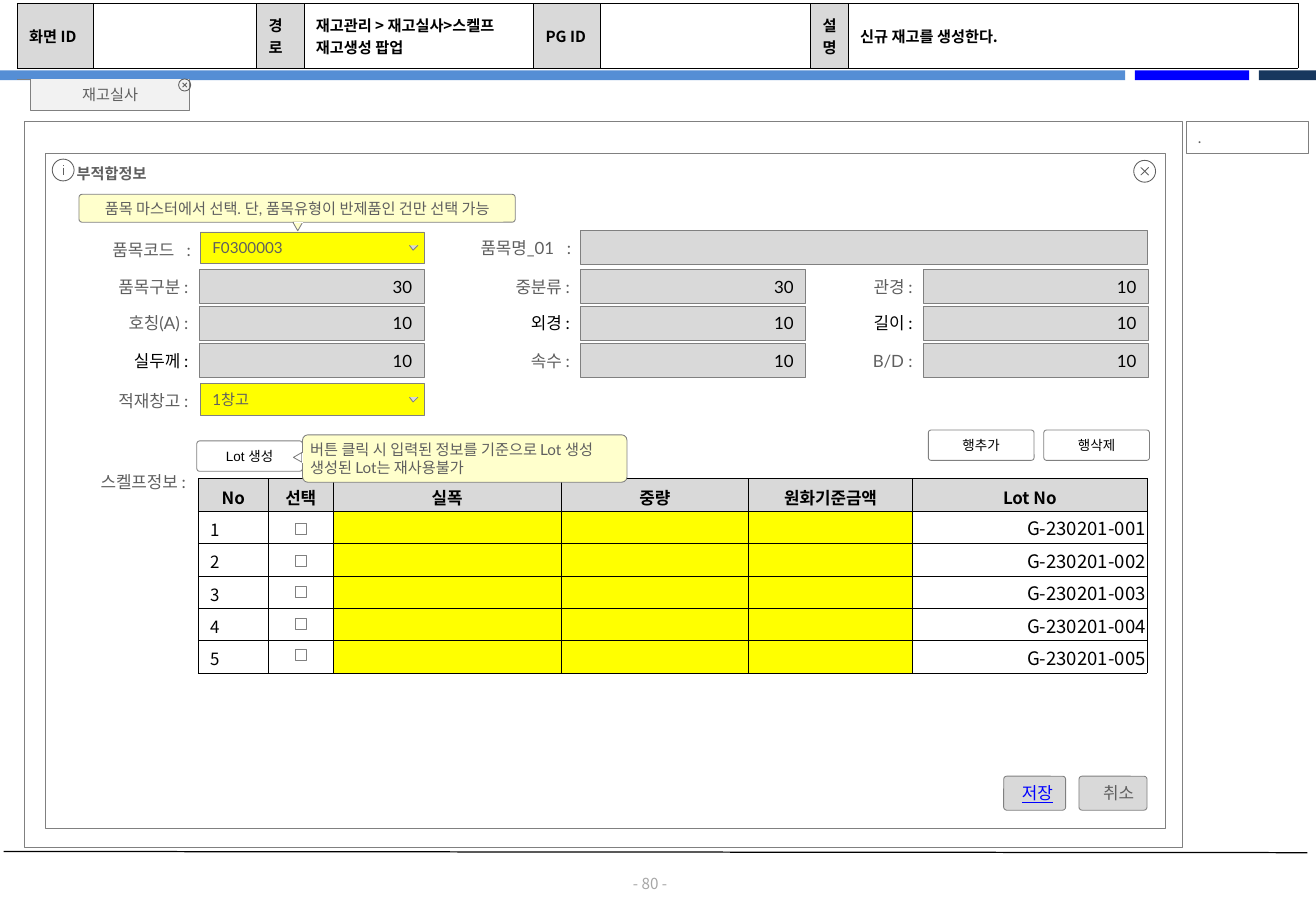
from dataclasses import dataclass
from lxml.etree import SubElement
from pptx import Presentation
from pptx.dml.color import RGBColor
from pptx.enum.shapes import MSO_CONNECTOR, MSO_SHAPE
from pptx.enum.text import MSO_ANCHOR, MSO_AUTO_SIZE, PP_ALIGN
from pptx.oxml.ns import qn
from pptx.util import Inches, Pt


@dataclass(frozen=True)
class Theme:
    """Colours, fonts and type sizes."""
    ink: str = "000000"
    gray: str = "5F5F5F"
    edge: str = "808080"
    fill: str = "D9D9D9"
    pale: str = "F2F2F2"
    white: str = "FFFFFF"
    need: str = "FFFF00"
    note: str = "FFFFCC"
    link: str = "0000FF"
    sky: str = "558ED5"
    navy: str = "17375E"
    faint: str = "A6A6A6"
    latin: str = "Lato"
    sans: str = "Arial"
    korean: str = "Noto Sans CJK KR"
    tiny: int = 8
    small: int = 9
    base: int = 10
    large: int = 11


T = Theme()
LEFT, MID, RIGHT = PP_ALIGN.LEFT, PP_ALIGN.CENTER, PP_ALIGN.RIGHT
TOP, CENTER = MSO_ANCHOR.TOP, MSO_ANCHOR.MIDDLE
RECT, ROUND = MSO_SHAPE.RECTANGLE, MSO_SHAPE.ROUNDED_RECTANGLE


def paint(shape, fill, edge):
    """Set the fill and outline of a shape, or clear them."""
    shape.shadow.inherit = False
    if fill:
        shape.fill.solid()
        shape.fill.fore_color.rgb = RGBColor.from_string(fill)
    else:
        shape.fill.background()
    if edge:
        shape.line.color.rgb = RGBColor.from_string(edge)
        shape.line.width = Pt(0.5)
    else:
        shape.line.fill.background()


def add_run(para, text, size, color, face=T.latin, bold=False, line=False):
    """Add one formatted run to a paragraph."""
    run = para.add_run()
    run.text = text
    font = run.font
    font.size, font.name, font.bold, font.underline = Pt(size), face, bold, line
    font.color.rgb = RGBColor.from_string(color)
    SubElement(run._r.get_or_add_rPr(), qn("a:ea"), typeface=T.korean)
    return run


def write(shape, text, size=T.base, color=T.gray, align=LEFT, anchor=CENTER,
          pad=(0.1, 0.05, 0.1, 0.05), **style):
    """Fill a shape with one paragraph per line of text."""
    frame = shape.text_frame
    frame.word_wrap, frame.auto_size = True, MSO_AUTO_SIZE.NONE
    frame.vertical_anchor = anchor
    (frame.margin_left, frame.margin_top,
     frame.margin_right, frame.margin_bottom) = map(Inches, pad)
    for i, row in enumerate(text.split("\n")):
        para = frame.add_paragraph() if i else frame.paragraphs[0]
        para.alignment = align
        add_run(para, row, size, color, **style)


def draw(slide, kind, box, fill=None, edge=T.edge, curve=None):
    """Add a preset shape."""
    shape = slide.shapes.add_shape(kind, *map(Inches, box))
    paint(shape, fill, edge)
    if curve is not None:
        shape.adjustments[0] = curve
    return shape


def stroke(slide, ends, color=T.edge, width=0.5):
    """Add a straight line."""
    line = slide.shapes.add_connector(MSO_CONNECTOR.STRAIGHT, *map(Inches, ends))
    line.line.color.rgb = RGBColor.from_string(color)
    line.line.width = Pt(width)
    SubElement(line._element.spPr, qn("a:effectLst"))


def trace(slide, points, fill):
    """Add an open outline through the points."""
    spots = [(Inches(x), Inches(y)) for x, y in points]
    form = slide.shapes.build_freeform(*spots[0], scale=1.0)
    form.add_line_segments(spots[1:], close=False)
    shape = form.convert_to_shape()
    paint(shape, fill, T.edge)
    return shape


def close_icon(slide, x, y, size):
    """Draw a circled cross."""
    draw(slide, MSO_SHAPE.OVAL, (x, y, size, size), edge=T.gray)
    a, b = size * 0.32, size * 0.68
    stroke(slide, (x + a, y + a, x + b, y + b), T.gray)
    stroke(slide, (x + a, y + b, x + b, y + a), T.gray)


def info_icon(slide, x, y):
    """Draw a circled letter mark from a dot and a stem."""
    draw(slide, MSO_SHAPE.OVAL, (x, y, 0.18, 0.18), edge=T.gray)
    for top, low in ((0.05, 0.06), (0.07, 0.13)):
        stroke(slide, (x + 0.09, y + top, x + 0.09, y + low), T.gray, 0.75)


def add_grid(slide, x, y, cols, count, height):
    """Add a plain table with the given columns and equal rows."""
    table = slide.shapes.add_table(count, len(cols), Inches(x), Inches(y),
                                   Inches(sum(cols)), Inches(height)).table
    table.first_row = table.horz_banding = False
    for col, width in zip(table.columns, cols):
        col.width = Inches(width)
    for row in table.rows:
        row.height = Inches(height / count)
    return table


def set_cell(cell, text, fill, size, align=LEFT, anchor=CENTER,
             pad=(0.1, 0.05, 0.1, 0.05), bold=False):
    """Set the borders, fill and text of a cell."""
    for side in ("L", "R", "T", "B"):
        line = SubElement(cell._tc.get_or_add_tcPr(), qn("a:ln" + side), w="3175")
        SubElement(SubElement(line, qn("a:solidFill")), qn("a:srgbClr"), val=T.ink)
    cell.fill.solid()
    cell.fill.fore_color.rgb = RGBColor.from_string(fill)
    cell.vertical_anchor = anchor
    (cell.margin_left, cell.margin_top,
     cell.margin_right, cell.margin_bottom) = map(Inches, pad)
    para = cell.text_frame.paragraphs[0]
    para.alignment = align
    if text:
        add_run(para, text, size, T.ink, T.korean, bold)
    else:
        SubElement(para._p, qn("a:endParaRPr"), sz=str(size * 100))


def header(slide, x, y):
    """Place the screen details table and the colour band below it."""
    cols = (0.63, 1.34, 0.39, 1.89, 0.55, 1.73, 0.31, 3.7)
    words = ("화면 ID", "", "경로", "재고관리 > 재고실사>스켈프 재고생성 팝업",
             "PG ID", "", "설명", "신규 재고를 생성한다.")
    table = add_grid(slide, x, y, cols, 1, 0.53)
    for i, text in enumerate(words):
        set_cell(table.cell(0, i), text, T.white if i % 2 else T.fill,
                 T.small, bold=True)
    for left, width, color in ((0, 9.26, T.sky), (9.34, 0.94, T.link),
                               (10.36, 0.47, T.navy)):
        draw(slide, RECT, (left, y + 0.55, width, 0.08), color, None)


def frame(slide, x, y):
    """Place the tab, work area, side note and footer."""
    stroke(slide, (x + 0.05, y - 0.35, x - 0.06, y - 0.35))
    tab = trace(slide, ((x + 1.36, y - 0.35), (x + 1.36, y - 0.09),
                        (x + 0.05, y - 0.09), (x + 0.05, y - 0.35)), T.pale)
    write(tab, "재고실사", T.small, align=MID, pad=(0.05,) * 4)
    close_icon(slide, x + 1.27, y - 0.35, 0.1)
    side = draw(slide, RECT, (x + 9.56, y, 1.01, 0.26), T.white)
    write(side, ".", T.small, anchor=TOP, pad=(0.1, 0.06, 0.1, 0.06))
    draw(slide, RECT, (x, y, 9.53, 5.98))
    stroke(slide, (0.03, 7.01, 10.76, 7.02), T.ink, 0.75)
    page = slide.shapes.add_textbox(*map(Inches, (5.05, 7.2, 0.6, 0.15)))
    write(page, "- 80 -", T.small, T.faint, MID, pad=(0,) * 4, face=T.korean)


def popup(slide, x, y):
    """Place the popup outline, its title and icons."""
    draw(slide, RECT, (x, y, 9.22, 5.56))
    title = slide.shapes.title
    title.left, title.top, title.width, title.height = map(
        Inches, (x + 0.18, y + 0.05, 1.2, 0.23))
    write(title, "부적합정보", T.small, anchor=TOP,
          pad=(0.08, 0.04, 0.08, 0.04), bold=True)
    info_icon(slide, x + 0.06, y + 0.05)
    close_icon(slide, x + 8.96, y + 0.06, 0.18)


def label(slide, right, y, name, color=T.gray, gap=0):
    """Place a right-aligned label with its colon."""
    box = slide.shapes.add_textbox(*map(Inches, (right - 1.1, y, 1.1, 0.28)))
    write(box, name, color=color, align=RIGHT, pad=(0.08, 0.06, 0.08, 0.06))
    para = box.text_frame.paragraphs[0]
    space = add_run(para, " ", T.base, color)
    if gap:
        space._r.get_or_add_rPr().set("spc", str(gap * 100))
    add_run(para, ":", T.base, color)


def picker(slide, x, y, text):
    """Place a required drop-down field."""
    box = draw(slide, RECT, (x, y, 1.84, 0.26), T.need)
    write(box, text, T.small, pad=(0.1, 0.06, 0.28, 0.06))
    trace(slide, ((x + 1.79, y + 0.11), (x + 1.75, y + 0.15),
                  (x + 1.72, y + 0.11)), T.fill)


def form(slide, x, y):
    """Place the item fields in three columns."""
    cols, rows = (x + 1.27, x + 4.41, x + 7.23), (y + 0.96, y + 1.26, y + 1.57)
    fields = ((("품목구분", "30"), ("중분류", "30"), ("관경", "10")),
              (("호칭(A)", "10"), ("외경", "10"), ("길이", "10")),
              (("실두께", "10"), ("속수", "10"), ("B/D", "10")))
    for top, line in zip(rows, fields):
        for left, (name, value) in zip(cols, line):
            dark = name in ("외경", "길이", "실두께")
            label(slide, left - 0.01, top, name, T.ink if dark else T.gray)
            box = draw(slide, RECT, (left, top, 1.85, 0.28), T.fill)
            write(box, value, color=T.ink, align=RIGHT, pad=(0.1, 0.06, 0.1, 0.06))
    label(slide, cols[0] + 0.01, y + 0.66, "품목코드", gap=5)
    label(slide, cols[1], y + 0.64, "품목명_01", gap=5)
    draw(slide, RECT, (cols[1], y + 0.64, 4.66, 0.28), T.fill)
    label(slide, cols[0] - 0.01, y + 1.9, "적재창고")
    picker(slide, cols[0] + 0.01, y + 0.65, "F0300003")
    picker(slide, cols[0] + 0.01, y + 1.9, "1창고")


def lots(slide, x, y):
    """Place the lot table with its label and check boxes."""
    label(slide, x - 0.02, y - 0.11, "스켈프정보")
    heads = ("No", "선택", "실폭", "중량", "원화기준금액", "Lot No")
    table = add_grid(slide, x, y, (0.58, 0.53, 1.88, 1.54, 1.35, 1.93), 6, 1.6)
    pad = (0.1, 0.05, 0.1, 0.01)
    for i, text in enumerate(heads):
        set_cell(table.cell(0, i), text, T.fill, T.base, MID, TOP, pad, True)
    for n in range(1, 6):
        set_cell(table.cell(n, 0), str(n), T.white, T.base, LEFT, TOP, pad)
        for i in range(1, 5):
            set_cell(table.cell(n, i), "", T.need if i > 1 else T.white, T.tiny)
        set_cell(table.cell(n, 5), f"G-230201-00{n}", T.white, T.large, RIGHT,
                 pad=(0.01, 0.01, 0.01, 0))
        draw(slide, RECT, (x + 0.8, y + 0.11 + 0.26 * n, 0.09, 0.09), T.white)


def buttons(slide, x, y):
    """Place the row, lot, save and cancel buttons."""
    for left, top, text in ((7.27, 2.28, "행추가"), (8.22, 2.28, "행삭제"),
                            (1.25, 2.37, "Lot 생성")):
        box = draw(slide, ROUND, (x + left, y + top, 0.87, 0.25), curve=0.09)
        write(box, text, T.tiny, T.ink, MID, face=T.sans)
    for left, width, text, color in ((7.89, 0.51, "저장", T.link),
                                     (8.51, 0.56, "취소", T.gray)):
        box = draw(slide, ROUND, (x + left, y + 5.13, width, 0.28), T.fill, curve=0.09)
        write(box, text, color=color, align=RIGHT, line=color == T.link)


def callout(slide, box, text, align, tip, turn, fill, seam):
    """Place a note with a small pointer joined to it."""
    note = draw(slide, ROUND, box, T.note, curve=0.11)
    write(note, text, T.small, align=align, pad=(0.05, 0.03, 0.05, 0.03))
    draw(slide, MSO_SHAPE.ISOSCELES_TRIANGLE, (*tip, 0.08, 0.07), fill).rotation = turn
    stroke(slide, seam, T.white)


def main():
    """Build the slide and save it."""
    deck = Presentation()
    deck.slide_width, deck.slide_height = Inches(10.83), Inches(7.5)
    slide = deck.slides.add_slide(deck.slide_layouts[5])
    header(slide, 0.14, 0.03)
    frame(slide, 0.2, 1)
    popup(slide, 0.37, 1.26)
    form(slide, 0.37, 1.26)
    lots(slide, 1.63, 3.94)
    buttons(slide, 0.37, 1.26)
    callout(slide, (2.49, 3.58, 2.67, 0.39),
            "버튼 클릭 시 입력된 정보를 기준으로 Lot 생성\n생성된 Lot는 재사용불가",
            LEFT, (2.41, 3.73), 270, T.white, (2.49, 3.73, 2.49, 3.81))
    callout(slide, (0.65, 1.6, 3.59, 0.23),
            "품목 마스터에서 선택. 단, 품목유형이 반제품인 건만 선택 가능",
            MID, (2.41, 1.83), 180, T.note, (2.42, 1.83, 2.49, 1.83))
    deck.save("out.pptx")


if __name__ == "__main__":
    main()
